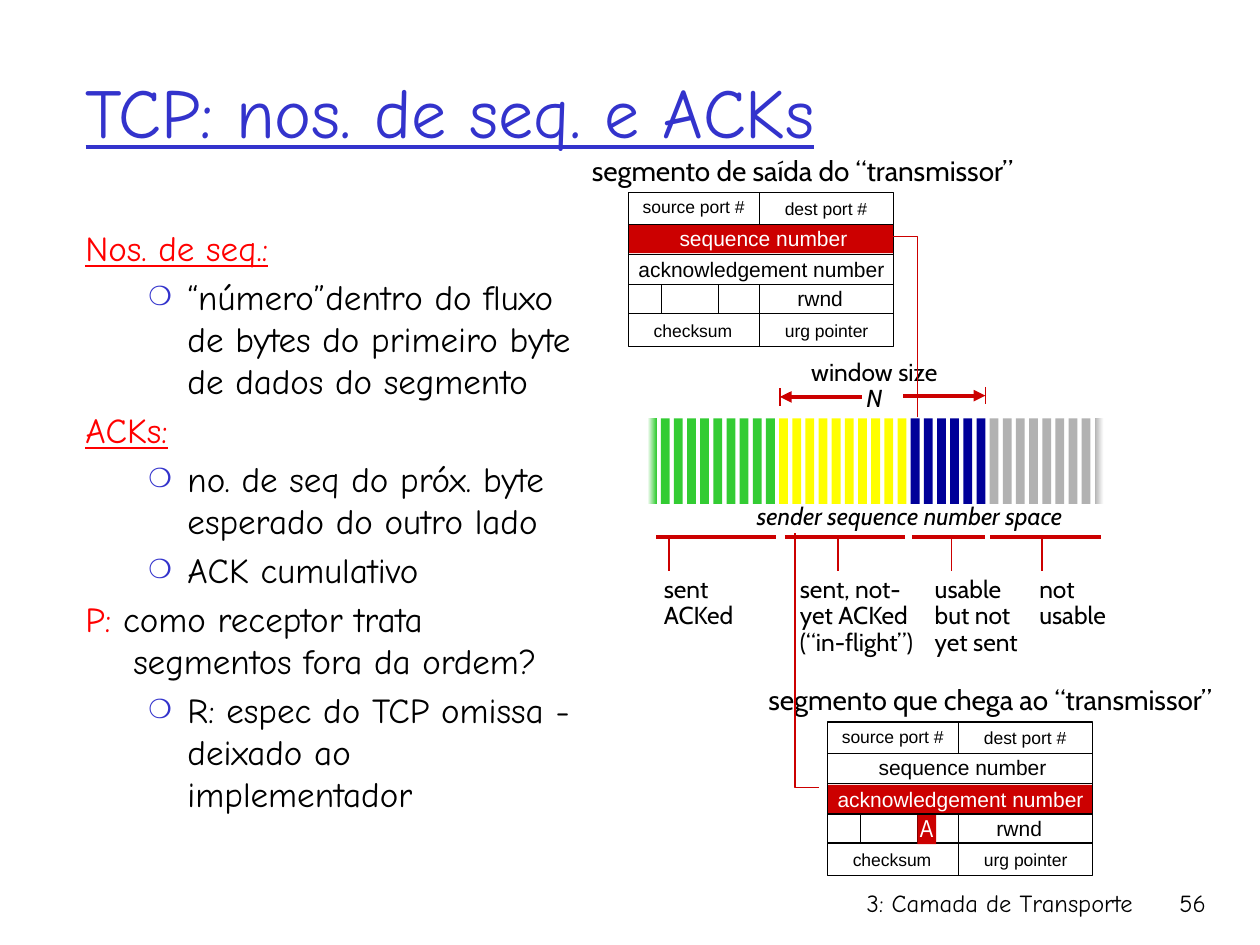
from typing import NamedTuple

from lxml.etree import SubElement
from pptx import Presentation
from pptx.dml.color import RGBColor
from pptx.enum.shapes import MSO_CONNECTOR, MSO_SHAPE
from pptx.enum.text import MSO_ANCHOR, PP_ALIGN
from pptx.oxml.ns import qn
from pptx.util import Inches, Pt

COLORS = {
    "title": "3333CC", "heading": "FF0000", "text": "000000", "white": "FFFFFF",
    "red": "CC0000", "green": "33CC33", "yellow": "FFFF00", "blue": "000099",
    "gray": "B2B2B2",
}


class Field(NamedTuple):
    name: str
    left: float
    top: float
    width: float
    height: float
    size: int


class Region(NamedTuple):
    """A run of bars in the sequence space, with its underline and label."""
    color: str
    count: int
    start: float
    end: float
    tick: float
    label_left: float
    label_width: float
    lines: list[str]


class Item(NamedTuple):
    kind: str
    text: str


FIELDS = [
    Field("source port #", -0.04, -0.02, 1.11, 0.27, 10),
    Field("dest port #", 1.02, -0.01, 1.09, 0.27, 10),
    Field("sequence number", 0.28, 0.21, 1.58, 0.3, 12),
    Field("acknowledgement number", -0.03, 0.46, 2.17, 0.3, 12),
    Field("rwnd", 1.14, 0.69, 0.76, 0.3, 12),
    Field("checksum", 0.01, 0.96, 1.0, 0.27, 10),
    Field("urg pointer", 1.03, 0.96, 1.08, 0.27, 10),
]
REGIONS = [
    Region("green", 10, 5.21, 6.16, 5.31, 5.17, 0.76, ["sent", "ACKed"]),
    Region("yellow", 10, 6.23, 7.18, 6.65, 6.25, 1.17,
           ["sent, not-yet ACKed", "(“in-flight”)"]),
    Region("blue", 6, 7.24, 7.82, 7.55, 7.32, 1.17, ["usable", "but not", "yet sent"]),
    Region("gray", 9, 7.86, 8.74, 8.27, 8.15, 0.9, ["not", "usable"]),
]
ITEMS = [
    Item("heading", "Nos. de seq.:"),
    Item("bullet", "“número”dentro do fluxo de bytes do primeiro byte de dados do segmento"),
    Item("heading", "ACKs:"),
    Item("bullet", "no. de seq do próx. byte esperado do outro lado"),
    Item("bullet", "ACK cumulativo"),
    Item("question", "P:| como receptor trata segmentos fora da ordem?"),
    Item("bullet", "R: espec do TCP omissa - deixado ao implementador"),
]
SEGMENT_WIDTH, SEGMENT_HEIGHT = 2.1, 1.22
ROWS = [0.25, 0.49, 0.73, 0.96]
MIDDLE = 1.04
BAR_LEFT, BAR_TOP, BAR_WIDTH, BAR_HEIGHT = 5.14, 3.32, 0.07, 0.68
LAST_BAR_LEFT = 8.69


def rgb(name: str) -> RGBColor:
    return RGBColor.from_string(COLORS[name])


def set_font(font, face: str, size: float, color: str) -> None:
    font.name, font.size, font.color.rgb = face, Pt(size), rgb(color)


def add_text(page, place: tuple, lines: list[str], face: str, size: float,
             color: str = "text", align=PP_ALIGN.CENTER, wrap: bool = False,
             spacing: float = 1.0):
    box = page.shapes.add_textbox(*map(Inches, place))
    frame = box.text_frame
    frame.word_wrap = wrap
    frame.text = "\n".join(lines)
    for para in frame.paragraphs:
        para.alignment, para.line_spacing = align, spacing
        set_font(para.font, face, size, color)
    return frame


def add_box(page, place: tuple, fill: str | None = None, line: str | None = None):
    box = page.shapes.add_shape(MSO_SHAPE.RECTANGLE, *map(Inches, place))
    box.shadow.inherit = False
    if fill:
        box.fill.solid()
        box.fill.fore_color.rgb = rgb(fill)
    else:
        box.fill.background()
    if line:
        box.line.color.rgb, box.line.width = rgb(line), Pt(0.75)
    else:
        box.line.fill.background()
    return box


def add_line(page, start: tuple, end: tuple, color: str = "red",
             width: float = 0.75, arrow: bool = False) -> None:
    line = page.shapes.add_connector(MSO_CONNECTOR.STRAIGHT, *map(Inches, start + end))
    line.line.color.rgb, line.line.width = rgb(color), Pt(width)
    properties = line._element.spPr
    if arrow:
        SubElement(properties.find(qn("a:ln")), qn("a:tailEnd"), type="triangle")
    SubElement(properties, qn("a:effectLst"))


def add_elbow(page, points: list[tuple]) -> None:
    (left, top), *rest = points
    builder = page.shapes.build_freeform(Inches(left), Inches(top))
    builder.add_line_segments([(Inches(x), Inches(y)) for x, y in rest], close=False)
    elbow = builder.convert_to_shape()
    elbow.shadow.inherit = False
    elbow.fill.background()
    elbow.line.color.rgb, elbow.line.width = rgb("red"), Pt(0.75)


def add_segment(page, left: float, top: float, marked: str, mark_top: float,
                caption: str, caption_place: tuple) -> None:
    """Draw a TCP header with one field marked in red."""
    add_box(page, (left, top + mark_top, SEGMENT_WIDTH, 0.23), "red")
    add_box(page, (left, top, SEGMENT_WIDTH, SEGMENT_HEIGHT), line="text")
    for row in ROWS:
        add_line(page, (left, top + row), (left + SEGMENT_WIDTH, top + row), "text")
    dividers = [(MIDDLE, 0, ROWS[0]), (MIDDLE, ROWS[2], SEGMENT_HEIGHT),
                (0.26, ROWS[2], ROWS[3]), (0.71, ROWS[2], ROWS[3])]
    for x, start, end in dividers:
        add_line(page, (left + x, top + start), (left + x, top + end), "text")
    for field in FIELDS:
        place = (left + field.left, top + field.top, field.width, field.height)
        color = "white" if field.name == marked else "text"
        add_text(page, place, [field.name], "Arial", field.size, color)
    add_text(page, caption_place, [caption], "Cabin", 16)


def add_sequence_space(page) -> None:
    colors = [region.color for region in REGIONS for _ in range(region.count)]
    last = len(colors) - 1
    pitch = (LAST_BAR_LEFT - BAR_LEFT) / last
    fades = {0: ("white", "green"), last: ("gray", "white")}
    for index, color in enumerate(colors):
        left = BAR_LEFT + index * pitch
        bar = add_box(page, (left, BAR_TOP, BAR_WIDTH, BAR_HEIGHT), color)
        if index in fades:
            bar.fill.gradient()
            bar.fill.gradient_angle = 0
            for stop, name in zip(bar.fill.gradient_stops, fades[index]):
                stop.color.rgb = rgb(name)
    for region in REGIONS:
        add_line(page, (region.start, 4.26), (region.end, 4.26), width=2.25)
        add_line(page, (region.tick, 4.28), (region.tick, 4.53))
        height = 0.1 + 0.21 * len(region.lines)
        add_text(page, (region.label_left, 4.53, region.label_width, height),
                 region.lines, "Cabin", 14, align=PP_ALIGN.LEFT, wrap=True, spacing=0.9)
    frame = add_text(page, (5.48, 3.93, 3.48, 0.33), ["sender sequence number space"],
                     "Cabin", 14)
    frame.paragraphs[0].font.italic = True


def add_window(page) -> None:
    frame = add_text(page, (6.32, 2.81, 1.24, 0.52), ["window size", "N"],
                     "Cabin", 14, spacing=0.9)
    frame.paragraphs[1].font.italic = True
    for inner, edge, y in [(7.17, 7.82, 3.14), (6.84, 6.19, 3.15)]:
        add_line(page, (inner, y), (edge, y), width=2.25, arrow=True)
        add_line(page, (edge, y - 0.07), (edge, y + 0.07))


def add_body(page) -> None:
    frame = add_text(page, (0.58, 1.75, 4.17, 5.08), [""] * len(ITEMS), "Comic Neue", 20,
                     align=PP_ALIGN.LEFT, wrap=True)
    for para, item in zip(frame.paragraphs, ITEMS):
        para.space_before = Pt(4)
        for part in item.text.split("|"):
            para.add_run().text = part
        bulleted = item.kind == "bullet"
        margin, indent = (0.81, -0.31) if bulleted else (0.38, -0.38)
        properties = para._p.get_or_add_pPr()
        properties.set("marL", str(Inches(margin)))
        properties.set("indent", str(Inches(indent)))
        if bulleted:
            font = properties.find(qn("a:defRPr"))
            color = SubElement(properties, qn("a:buClr"))
            SubElement(color, qn("a:srgbClr"), val=COLORS["title"])
            SubElement(properties, qn("a:buSzPct"), val="75000")
            SubElement(properties, qn("a:buFont"), typeface="Comic Neue")
            SubElement(properties, qn("a:buChar"), char="❍")
            properties.append(font)
        else:
            lead = para.runs[0].font
            lead.color.rgb = rgb("heading")
            lead.underline = item.kind == "heading"


def main() -> None:
    deck = Presentation()
    deck.slide_width, deck.slide_height = Inches(10), Inches(7.5)
    page = deck.slides.add_slide(deck.slide_layouts[5])
    title = page.shapes.title
    title.left, title.top, title.width, title.height = map(Inches, (0.58, 0.25, 8.5, 1.25))
    title.text_frame.text = "TCP: nos. de seq. e ACKs"
    title.text_frame.vertical_anchor = MSO_ANCHOR.MIDDLE
    para = title.text_frame.paragraphs[0]
    para.alignment = PP_ALIGN.LEFT
    set_font(para.font, "Comic Neue", 40, "title")
    para.font.underline = True

    add_body(page)
    add_segment(page, 6.57, 5.73, "acknowledgement number", 0.5,
                "segmento que chega ao “transmissor”", (5.88, 5.37, 3.96, 0.37))
    add_box(page, (7.28, 6.47, 0.15, 0.23), "red")
    add_text(page, (7.16, 6.4, 0.39, 0.33), ["A"], "Arial Narrow", 14, "white")
    add_elbow(page, [(6.5, 6.25), (6.31, 6.25), (6.31, 4.23)])
    add_sequence_space(page)
    add_window(page)
    add_segment(page, 4.99, 1.53, "sequence number", 0.25,
                "segmento de saída do “transmissor”", (4.49, 1.17, 3.76, 0.37))
    add_elbow(page, [(7.09, 1.88), (7.28, 1.88), (7.28, 3.31)])
    add_text(page, (5.92, 7, 3.17, 0.5), ["3: Camada de Transporte"], "Comic Neue", 14,
             align=PP_ALIGN.RIGHT, wrap=True)
    add_text(page, (8.93, 7, 0.74, 0.5), ["56"], "Comic Neue", 14,
             align=PP_ALIGN.RIGHT, wrap=True)
    deck.save("out.pptx")


if __name__ == "__main__":
    main()
